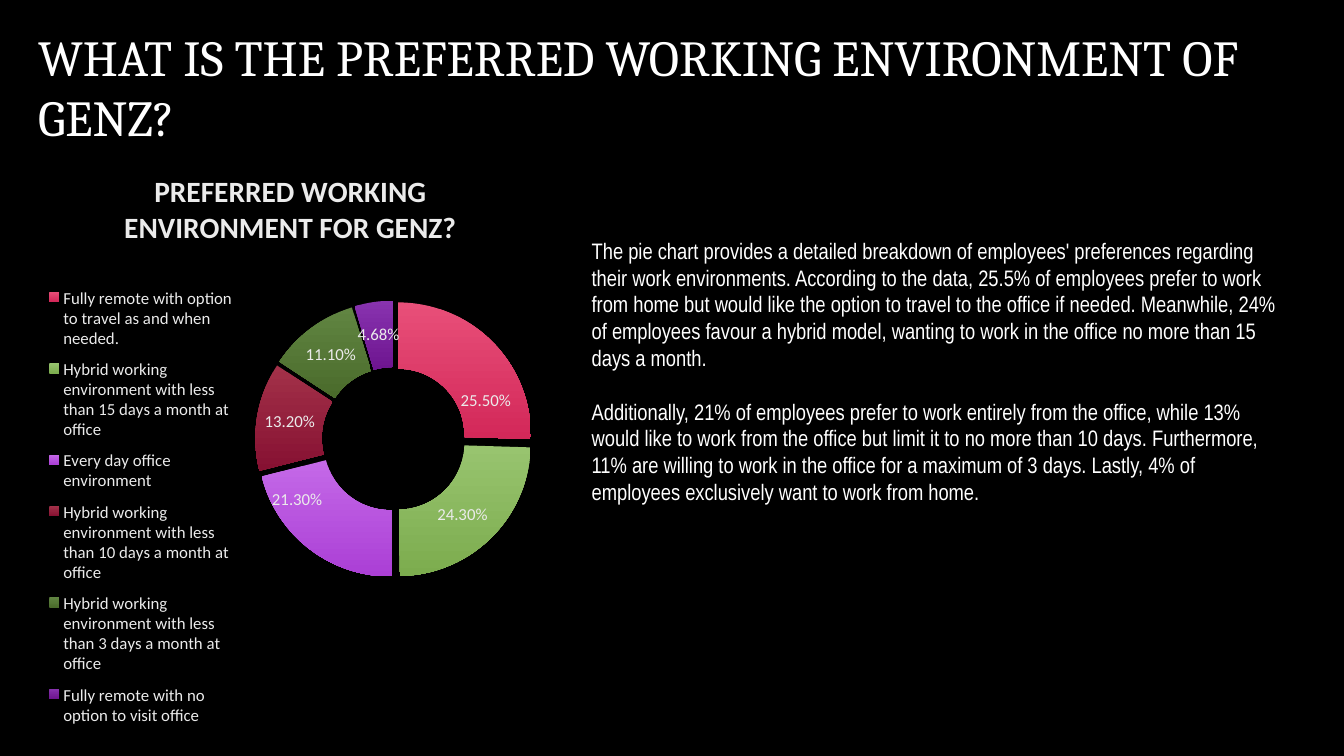
from lxml.etree import SubElement
from pptx import Presentation
from pptx.chart.data import CategoryChartData
from pptx.dml.color import RGBColor
from pptx.enum.chart import XL_CHART_TYPE, XL_LEGEND_POSITION
from pptx.oxml import parse_xml
from pptx.oxml.ns import nsdecls, qn
from pptx.util import Inches, Pt

COLORS = {"back": "000000", "text": "FFFFFF", "chart": "EBEBEB"}
TITLE = "WHAT IS THE PREFERRED WORKING ENVIRONMENT OF GENZ?"
BODY = [
    "The pie chart provides a detailed breakdown of employees' preferences regarding "
    "their work environments. According to the data, 25.5% of employees prefer to work "
    "from home but would like the option to travel to the office if needed. Meanwhile, "
    "24% of employees favour a hybrid model, wanting to work in the office no more than "
    "15 days a month.",
    "Additionally, 21% of employees prefer to work entirely from the office, while 13% "
    "would like to work from the office but limit it to no more than 10 days. "
    "Furthermore, 11% are willing to work in the office for a maximum of 3 days. Lastly, "
    "4% of employees exclusively want to work from home.",
]
# category, share, gradient start, gradient end
SLICES = [
    ("Fully remote with option to travel as and when needed.", 0.255, "E84F79", "D32859"),
    ("Hybrid working environment with less than 15 days a month at office", 0.243,
     "98C46F", "7CAC4E"),
    ("Every day office environment", 0.213, "C469E8", "AB3FD5"),
    ("Hybrid working environment with less than 10 days a month at office", 0.132,
     "A33149", "861132"),
    ("Hybrid working environment with less than 3 days a month at office", 0.111,
     "618542", "4A6B2B"),
    ("Fully remote with no option to visit office", 0.0468, "8833AF", "6E1590"),
]
# label shifts of the first slices, as shares of the chart's size
LABEL_SHIFTS = [(0.03, 0.06), (-0.01, 0), (-0.06, -0.04)]


def add_text(tf, paragraphs, size, name="Calibri", color="chart", bold=False, gap=0):
    """Fill a text frame, with gap points between paragraphs."""
    for i, text in enumerate(paragraphs):
        p = tf.add_paragraph() if i else tf.paragraphs[0]
        p.space_before = Pt(gap if i else 0)
        r = p.add_run()
        r.text = text
        r.font.size, r.font.name, r.font.bold = Pt(size), name, bold
        r.font.color.rgb = RGBColor.from_string(COLORS[color])


def place(element, after=None, **settings):
    """Give a chart part a manual layout, as its first child or behind the tag after."""
    for old in element.findall(qn("c:layout")):
        element.remove(old)
    layout = parse_xml(f'<c:layout {nsdecls("c")}/>')
    manual = SubElement(layout, qn("c:manualLayout"))
    for tag, val in settings.items():
        SubElement(manual, qn(f"c:{tag}")).set("val", str(val))
    if after:
        element.find(qn(after)).addnext(layout)
    else:
        element.insert(0, layout)


prs = Presentation()
prs.slide_width, prs.slide_height = Inches(13.33), Inches(7.5)
slide = prs.slides.add_slide(prs.slide_layouts[6])
slide.background.fill.solid()
slide.background.fill.fore_color.rgb = RGBColor.from_string(COLORS["back"])

for box, paragraphs, size, name in (
        ((0.28, 0.21, 13.01, 1.31), [TITLE], 36, "Cambria"),
        ((5.77, 2.3, 7.06, 2.79), BODY, 16, "Arial Narrow")):
    tf = slide.shapes.add_textbox(*map(Inches, box)).text_frame
    tf.word_wrap = True
    add_text(tf, paragraphs, size, name, "text", gap=19)

data = CategoryChartData(number_format="0.00%")
data.categories = [label for label, *_ in SLICES]
data.add_series("Series 1", [share for _, share, *_ in SLICES])
chart = slide.shapes.add_chart(
    XL_CHART_TYPE.DOUGHNUT, *map(Inches, (0.37, 1.52, 5.4, 5.85)), data).chart

chart.has_title = True
add_text(chart.chart_title.text_frame, ["PREFERRED WORKING ENVIRONMENT FOR GENZ?"],
         21, bold=True)
place(chart.chart_title._element, "c:tx", xMode="edge", yMode="edge", x=0.15, y=0.02)

chart.has_legend = True
legend = chart.legend
legend.position = XL_LEGEND_POSITION.LEFT
legend.include_in_layout = False
place(legend._element, "c:legendPos", xMode="edge", yMode="edge",
      x=0.01, y=0.21, w=0.36, h=0.78)

plot = chart.plots[0]
plot.vary_by_categories = True
plot._element.find(qn("c:holeSize")).set("val", "75")
place(plot._element.getparent(), layoutTarget="inner", xMode="edge", yMode="edge",
      x=0.4, y=0.25, w=0.51, h=0.47)

series = plot.series[0]
for i, (_, _, start, end) in enumerate(SLICES):
    fmt = series.points[i].format
    fmt.line.fill.background()
    fmt.fill.gradient()
    fmt.fill.gradient_angle = 270
    for stop, color in zip(fmt.fill.gradient_stops, (start, end)):
        stop.color.rgb = RGBColor.from_string(color)

points = series._element.findall(qn("c:dPt"))
for target in [points[0]] + [point.find(qn("c:spPr")) for point in points]:
    target.addprevious(parse_xml(f'<c:explosion {nsdecls("c")} val="9"/>'))

labels = series.data_labels
labels.show_value, labels.show_percentage = True, False
labels.number_format, labels.number_format_is_linked = "0.00%", False
label_fonts = [series.points[i].data_label.font for i in range(len(LABEL_SHIFTS))]
for font in [chart.font, legend.font, labels.font, *label_fonts]:
    font.size, font.name = Pt(12), "Calibri"
    font.color.rgb = RGBColor.from_string(COLORS["chart"])
for label, (x, y) in zip(labels._element.findall(qn("c:dLbl")), LABEL_SHIFTS):
    place(label, "c:idx", x=x, y=y)

prs.save("out.pptx")
